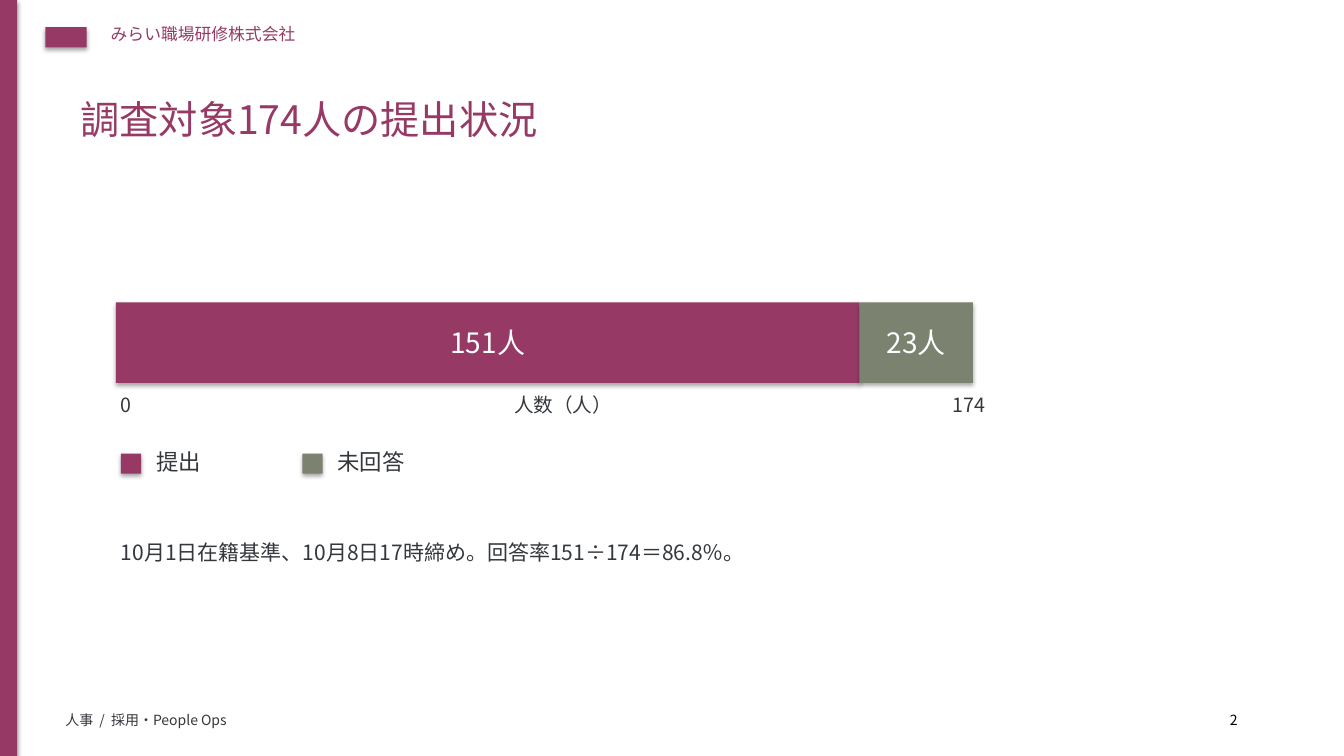
"""Builds the slide on how many of the 174 surveyed people handed in their answers."""
from pptx import Presentation
from pptx import util as u
from pptx.dml.color import RGBColor
from pptx.enum import shapes, text
from pptx.oxml.ns import qn

FONT = "Noto Sans CJK JP"
COLOURS = {"plum": "963A65", "sage": "7B8270", "ink": "34383C",
           "black": "000000", "white": "FFFFFF"}
COLUMNS, ROWS = 133.3, 75
BAR_LEFT, BAR_TOP, BAR_WIDTH, BAR_HEIGHT = 11.5, 30, 85, 8
LEGEND_LEFT, LEGEND_TOP, LEGEND_STEP = 12, 45, 18
RESPONSES = [("提出", 151, "plum"), ("未回答", 23, "sage")]
SCALE = [("0", 11, 5), ("人数（人）", 50, 20), ("174", 93.5, 7)]


def cells(count):
    """Turn a count of grid cells into a length."""
    return u.Inches(count / 10)


def box(left, top, width, height):
    """Turn a grid position and extent into lengths."""
    return [cells(count) for count in (left, top, width, height)]


def write(frame, words, size, colour, align=text.PP_ALIGN.LEFT):
    """Write one styled run into a text frame."""
    frame.word_wrap = True
    paragraph = frame.paragraphs[0]
    paragraph.alignment = align
    run = paragraph.add_run()
    run.text = words
    run.font.name = FONT
    run.font.size = u.Pt(size)
    run.font.color.rgb = RGBColor.from_string(COLOURS[colour])
    east_asian = run.font._element.makeelement(qn("a:ea"), {"typeface": FONT})
    run.font._element.find(qn("a:latin")).addnext(east_asian)


def add_label(slide, words, place, size, colour="ink"):
    """Add a text box at a grid place."""
    label = slide.shapes.add_textbox(*box(*place))
    write(label.text_frame, words, size, colour)


def add_block(slide, place, colour):
    """Add a filled rectangle that keeps the soft shadow of the theme."""
    block = slide.shapes.add_shape(shapes.MSO_SHAPE.RECTANGLE, *box(*place))
    block.fill.solid()
    block.fill.fore_color.rgb = RGBColor.from_string(COLOURS[colour])
    block.line.fill.background()
    return block


def add_frame(slide):
    """Add the side band, the header, the footer and the page number."""
    add_block(slide, (0, 0, 1.7, ROWS), "plum")
    add_block(slide, (4.5, 2.7, 4.1, 2), "plum")
    add_label(slide, "みらい職場研修株式会社", (10, 1.9, 80, 4), 12, "plum")
    add_label(slide, "人事  /  採用・People Ops", (5.5, 70.1, 100, 3), 10)
    add_label(slide, "2", (121, 70.1, 4, 2.5), 10, "black")


def add_title(slide, words):
    """Place and fill the title."""
    title = slide.shapes.title
    title.left, title.top, title.width, title.height = box(7, 9, 118, 8.5)
    title.text_frame.vertical_anchor = text.MSO_ANCHOR.TOP
    write(title.text_frame, words, 28, "plum")


def add_response_bar(slide):
    """Add a bar split in proportion to the answers, with its scale."""
    total = sum(people for _, people, _ in RESPONSES)
    left = BAR_LEFT
    for _, people, colour in RESPONSES:
        width = BAR_WIDTH * people / total
        share = add_block(slide, (left, BAR_TOP, width, BAR_HEIGHT), colour)
        share.text_frame.vertical_anchor = text.MSO_ANCHOR.MIDDLE
        write(share.text_frame, f"{people}人", 20, "white", text.PP_ALIGN.CENTER)
        left += width
    for words, start, width in SCALE:
        add_label(slide, words, (start, BAR_TOP + BAR_HEIGHT + 0.5, width, 4), 14)


def add_legend(slide):
    """Add a swatch and a name for each kind of answer."""
    for index, (status, _, colour) in enumerate(RESPONSES):
        left = LEGEND_LEFT + index * LEGEND_STEP
        add_block(slide, (left, LEGEND_TOP, 2, 2), colour)
        add_label(slide, status, (left + 2.5, LEGEND_TOP - 1, 12, 4), 16)


def main():
    """Build and save the slide."""
    deck = Presentation()
    deck.slide_width, deck.slide_height = cells(COLUMNS), cells(ROWS)
    slide = deck.slides.add_slide(deck.slide_layouts.get_by_name("Title Only"))
    add_frame(slide)
    add_title(slide, "調査対象174人の提出状況")
    add_response_bar(slide)
    add_legend(slide)
    add_label(slide, "10月1日在籍基準、10月8日17時締め。回答率151÷174＝86.8％。",
              (11, 53, 107, 7), 15)
    deck.save("out.pptx")


if __name__ == "__main__":
    main()
